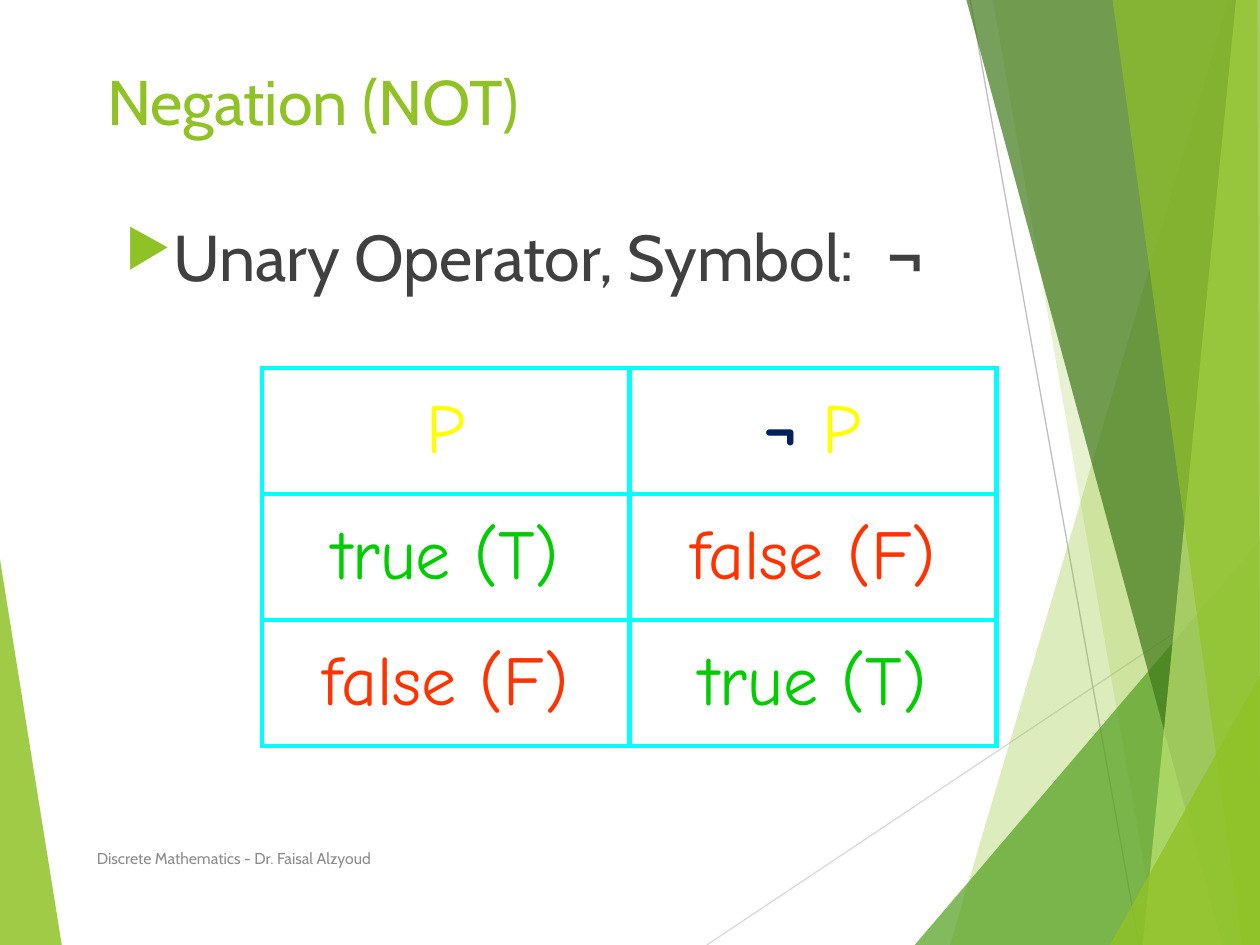
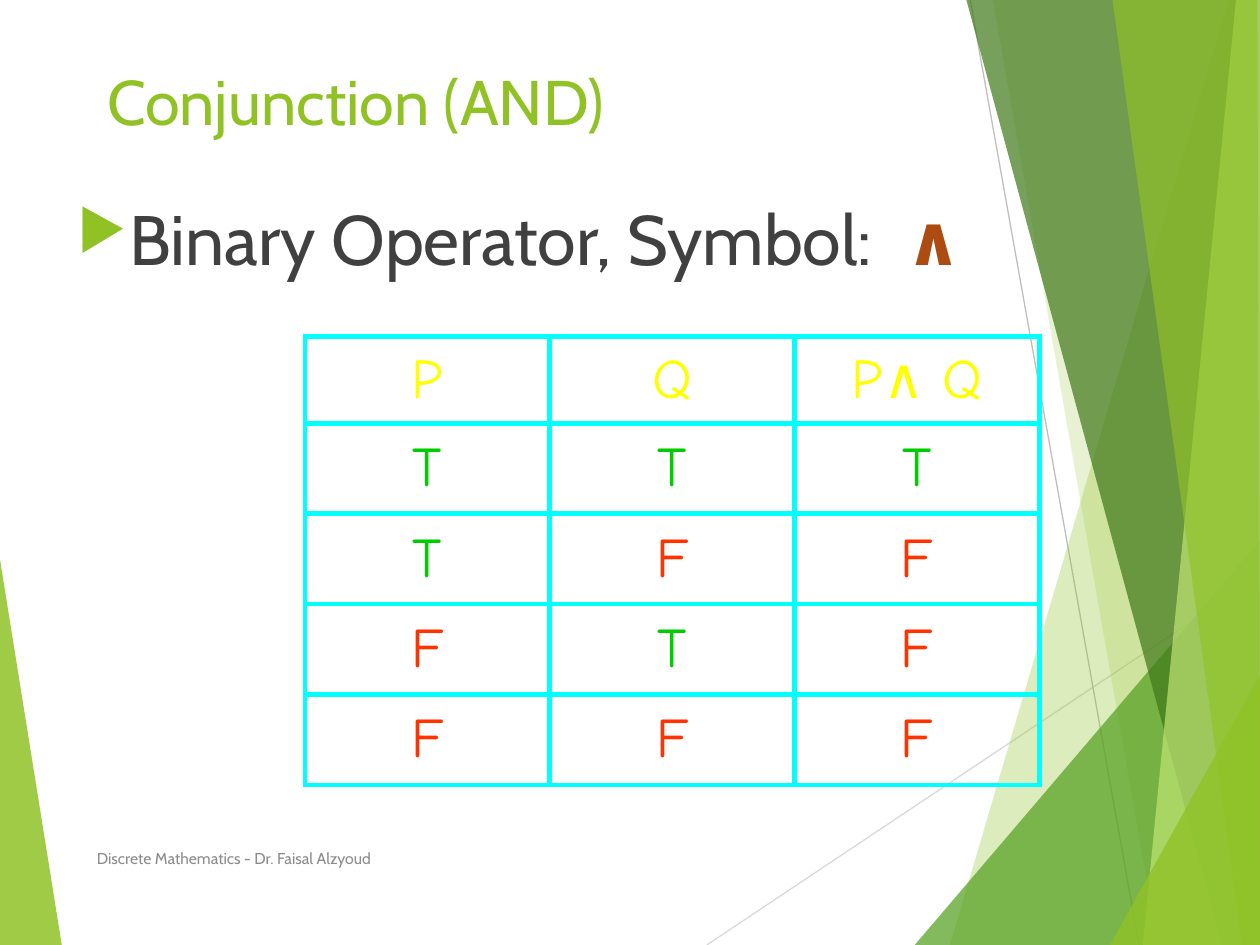
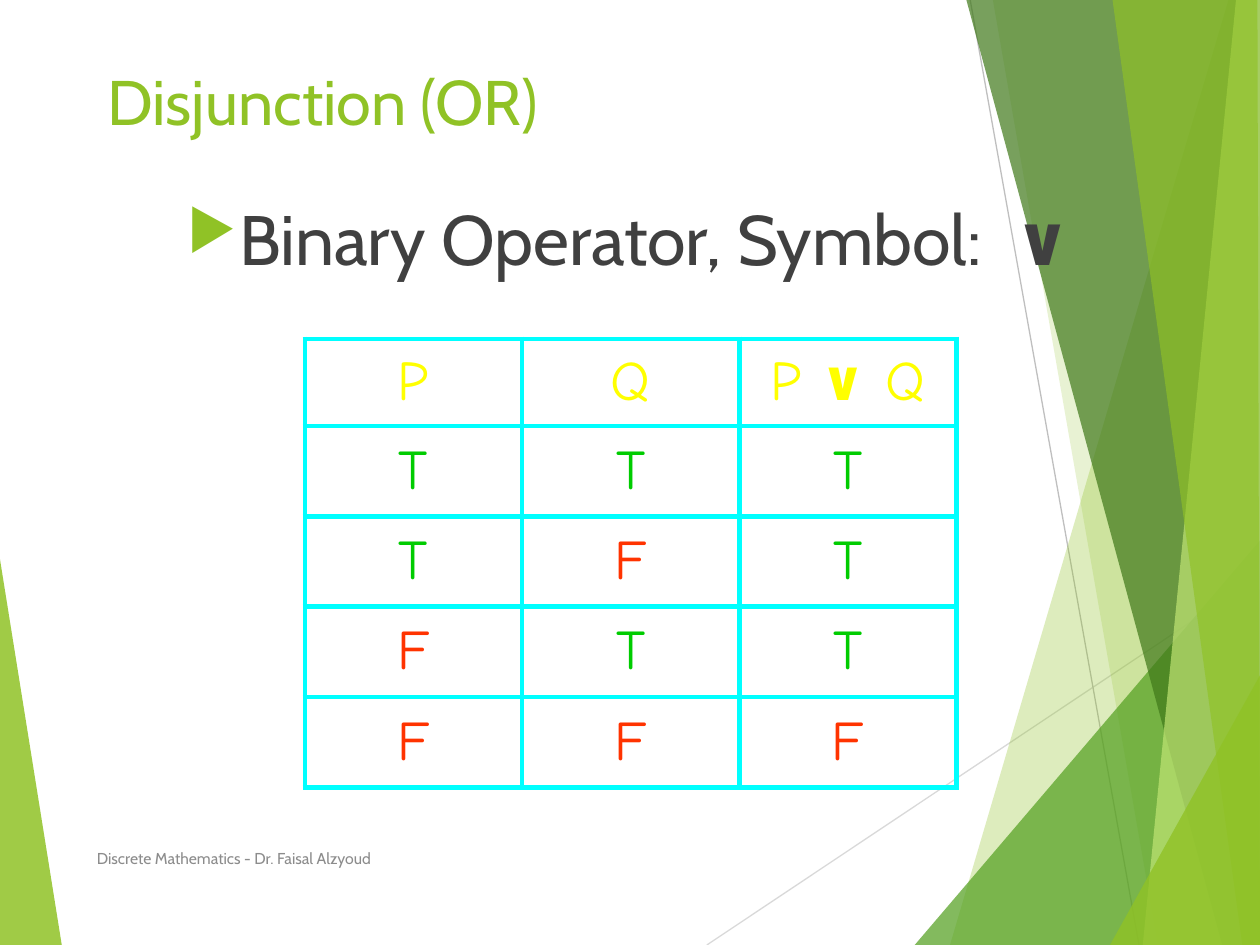
from typing import NamedTuple

from lxml import etree
from pptx import Presentation
from pptx import util as u
from pptx.dml.color import RGBColor
from pptx.enum import shapes, text
from pptx.oxml.ns import qn

PX = 9144  # EMU per px, 100 px to the inch
W, H = 1000, 750
BODY_FONT, TABLE_FONT = "Cabin", "Comic Neue"
FOOTER = "Discrete Mathematics - Dr. Faisal Alzyoud"
COLORS = {
    "lime": "90C226", "green": "54A021", "forest": "3F7819", "pale": "C0E474",
    "rule_light": "D9D9D9", "rule_dark": "BFBFBF",
    "body": "404040", "footer": "8C8C8C", "rust": "AD4C12", "navy": "002060",
    "grid": "00FFFF", "head": "FFFF00", "true": "00CC00", "false": "FF3300",
}


class Box(NamedTuple):
    x: int
    y: int
    w: int
    h: int


class Facet(NamedTuple):
    color: str
    alpha: int
    points: list[tuple[int, int]]


class Rule(NamedTuple):
    color: str
    start: tuple[int, int]
    end: tuple[int, int]


class Run(NamedTuple):
    text: str
    color: str
    bold: bool = False
    spacing: int = 0  # hundredths of a point


class TruthTable(NamedTuple):
    box: Box
    head_height: int
    size: int
    head: list[list[Run]]
    rows: list[list[str]]


class Operator(NamedTuple):
    title: str
    kind: str
    symbol: Run
    body: Box
    size: int
    table: TruthTable


TITLE_BOX = Box(75, 42, 850, 75)
FOOTER_BOX = Box(67, 661, 506, 40)

# Backdrop, from back to front
BACKDROP = [
    Facet("lime", 85, [(0, 444), (49, H), (0, H)]),
    Rule("rule_light", (561, H), (W, 457)),
    Rule("rule_dark", (770, 0), (904, H)),
    Facet("lime", 30, [(975, 0), (754, H), (W, H), (W, 0)]),
    Facet("lime", 20, [(788, 0), (919, H), (W, H), (W, 0)]),
    Facet("green", 72, [(726, H), (W, 429), (W, H)]),
    Facet("forest", 70, [(767, 0), (970, H), (W, H), (W, 0)]),
    Facet("pale", 70, [(981, 0), (907, H), (W, H), (W, 0)]),
    Facet("lime", 65, [(883, 0), (986, H), (W, H), (998, 0)]),
    Facet("lime", 80, [(881, H), (W, 536), (W, H)]),
]

HEAD_P, HEAD_Q = [Run("P", "head")], [Run("Q", "head")]

OPERATORS = [
    Operator(
        "Negation (NOT)", "Unary", Run("¬", "body", True), Box(58, 167, 717, 92), 37,
        TruthTable(Box(208, 292, 583, 300), 100, 40,
                   [HEAD_P, [Run("¬ ", "navy", True), Run("P", "head")]],
                   [["true (T)", "false (F)"], ["false (F)", "true (T)"]])),
    Operator(
        "Conjunction (AND)", "Binary", Run("∧", "rust", True), Box(0, 150, 825, 92), 40,
        TruthTable(Box(242, 267, 583, 356), 69, 32,
                   [HEAD_P, HEAD_Q, [Run("P∧ Q", "head")]],
                   [list("TTT"), list("TFF"), list("FTF"), list("FFF")])),
    Operator(
        "Disjunction (OR)", "Binary", Run("∨", "body", True), Box(58, 150, 883, 92), 40,
        TruthTable(Box(242, 269, 517, 356), 69, 32,
                   [HEAD_P, HEAD_Q,
                    [Run("P ", "head"), Run("∨ ", "head", True), Run("Q", "head")]],
                   [list("TTT"), list("TFT"), list("FTT"), list("FFF")])),
]


def emu(px: float) -> int:
    return round(px * PX)


def emus(values) -> list[int]:
    return [emu(v) for v in values]


def rgb(name: str) -> RGBColor:
    return RGBColor.from_string(COLORS[name])


def add_runs(p, runs: list[Run], font: str, size: int) -> None:
    for run in runs:
        r = p.add_run()
        r.text = run.text
        r.font.name, r.font.size, r.font.bold = font, u.Pt(size), run.bold
        r.font.color.rgb = rgb(run.color)
        if run.spacing:
            r.font._element.set("spc", str(run.spacing))


def add_bullet(p) -> None:
    pPr = p._p.get_or_add_pPr()
    pPr.set("marL", str(emu(38)))
    pPr.set("indent", str(emu(-38)))
    color = etree.SubElement(pPr, qn("a:buClr"))
    etree.SubElement(color, qn("a:srgbClr"), val=COLORS["lime"])
    etree.SubElement(pPr, qn("a:buSzPct"), val="80000")
    etree.SubElement(pPr, qn("a:buChar"), char="▶")


def add_text(slide, box: Box, anchor):
    tf = slide.shapes.add_textbox(*emus(box)).text_frame
    tf.word_wrap, tf.vertical_anchor = True, anchor
    return tf.paragraphs[0]


def draw_facet(slide, facet: Facet):
    first, *rest = facet.points
    builder = slide.shapes.build_freeform(*first, scale=PX)
    builder.add_line_segments(rest, close=True)
    sp = builder.convert_to_shape()
    sp.shadow.inherit = False
    sp.line.fill.background()
    sp.fill.solid()
    sp.fill.fore_color.rgb = rgb(facet.color)
    color = sp._element.spPr.find(qn("a:solidFill"))[0]
    etree.SubElement(color, qn("a:alpha"), val=str(facet.alpha * 1000))
    return sp


def draw_rule(slide, rule: Rule):
    sp = slide.shapes.add_connector(
        shapes.MSO_CONNECTOR.STRAIGHT, *emus(rule.start + rule.end))
    sp.line.color.rgb, sp.line.width = rgb(rule.color), u.Pt(0.75)
    etree.SubElement(sp._element.spPr, qn("a:effectLst"))
    return sp


def draw_backdrop(prs, slide) -> None:
    """Draw the facets once and hand them to the master all slides share."""
    tree = prs.slide_master.shapes._spTree
    for i, part in enumerate(BACKDROP):
        draw = draw_facet if isinstance(part, Facet) else draw_rule
        tree.insert(2 + i, draw(slide, part)._element)


def fill_cell(cell, runs: list[Run], size: int) -> None:
    cell.vertical_anchor = text.MSO_ANCHOR.MIDDLE
    p = cell.text_frame.paragraphs[0]
    p.alignment = text.PP_ALIGN.CENTER
    add_runs(p, runs, TABLE_FONT, size)
    tcPr = cell._tc.get_or_add_tcPr()
    for side in ("lnL", "lnR", "lnT", "lnB"):
        ln = etree.SubElement(tcPr, qn(f"a:{side}"), w=str(u.Pt(3)))
        fill = etree.SubElement(ln, qn("a:solidFill"))
        etree.SubElement(fill, qn("a:srgbClr"), val=COLORS["grid"])
    cell.fill.background()


def truth_run(value: str) -> Run:
    return Run(value, "true" if value.lower().startswith("t") else "false")


def draw_table(slide, spec: TruthTable) -> None:
    grid = spec.head, *([[truth_run(v)] for v in row] for row in spec.rows)
    table = slide.shapes.add_table(len(grid), len(spec.head), *emus(spec.box)).table
    table.first_row = table.horz_banding = False
    for col in table.columns:
        col.width = emu(spec.box.w / len(spec.head))
    row_height = (spec.box.h - spec.head_height) / len(spec.rows)
    for i, row in enumerate(grid):
        table.rows[i].height = emu(row_height if i else spec.head_height)
        for j, runs in enumerate(row):
            fill_cell(table.cell(i, j), runs, spec.size)


def draw_title(slide, title: str) -> None:
    sp = slide.shapes.title
    sp.left, sp.top, sp.width, sp.height = emus(TITLE_BOX)
    tf = sp.text_frame
    tf.auto_size = text.MSO_AUTO_SIZE.NONE
    tf.vertical_anchor = text.MSO_ANCHOR.MIDDLE
    p = tf.paragraphs[0]
    p.alignment = text.PP_ALIGN.LEFT
    add_runs(p, [Run(title, "lime")], BODY_FONT, 36)


def draw_operator(slide, op: Operator) -> None:
    draw_title(slide, op.title)
    p = add_text(slide, op.body, text.MSO_ANCHOR.TOP)
    p.alignment = text.PP_ALIGN.CENTER
    add_bullet(p)
    gap = Run(" ", "body", spacing=1000)
    add_runs(p, [Run(f"{op.kind} Operator, Symbol:", "body"), gap, op.symbol],
             BODY_FONT, op.size)
    draw_table(slide, op.table)
    p = add_text(slide, FOOTER_BOX, text.MSO_ANCHOR.MIDDLE)
    add_runs(p, [Run(FOOTER, "footer")], BODY_FONT, 9)


def main() -> None:
    prs = Presentation()
    prs.slide_width, prs.slide_height = emu(W), emu(H)
    slides = [prs.slides.add_slide(prs.slide_layouts[5]) for _ in OPERATORS]
    draw_backdrop(prs, slides[0])
    for slide, op in zip(slides, OPERATORS):
        draw_operator(slide, op)
    prs.save("out.pptx")


if __name__ == "__main__":
    main()
